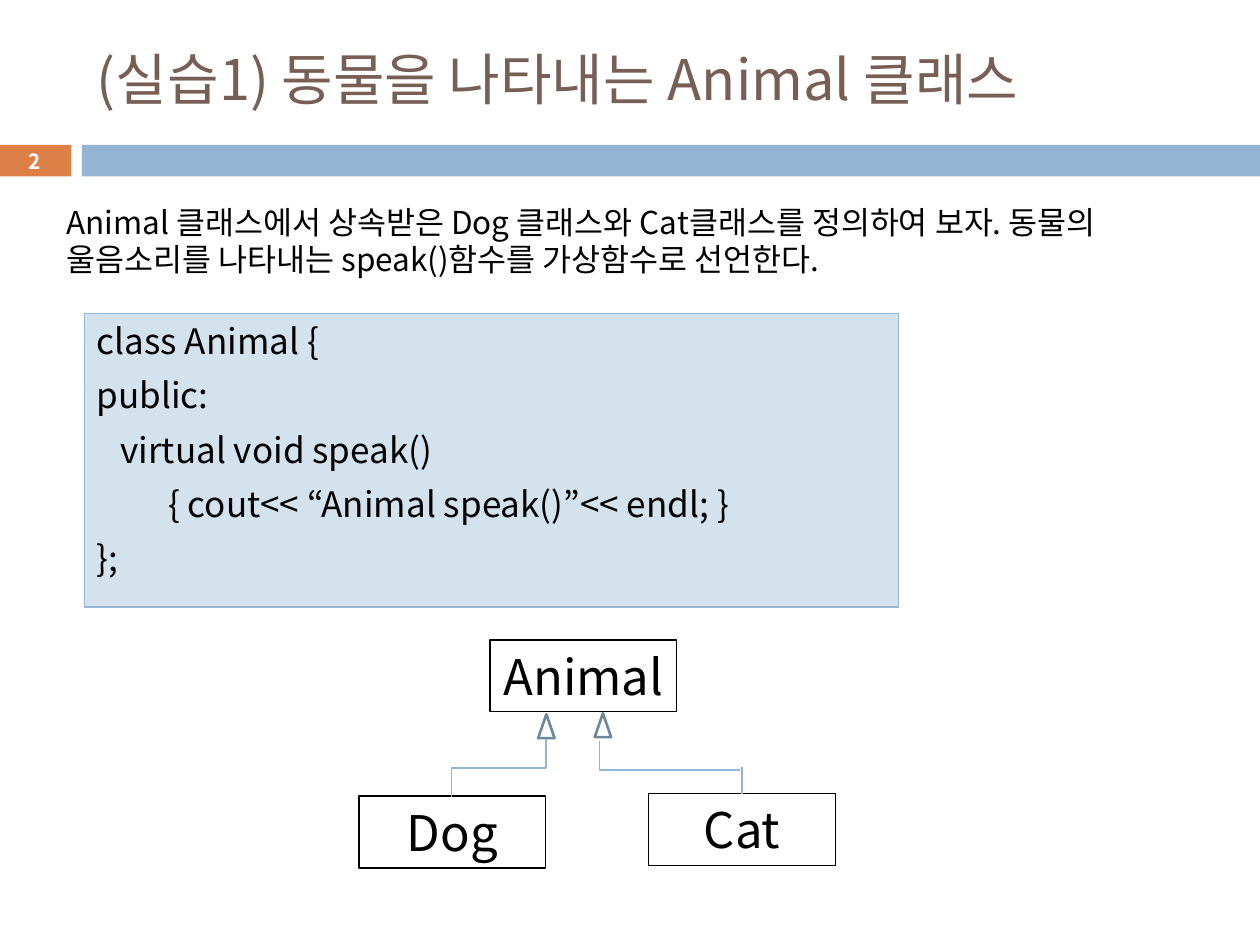
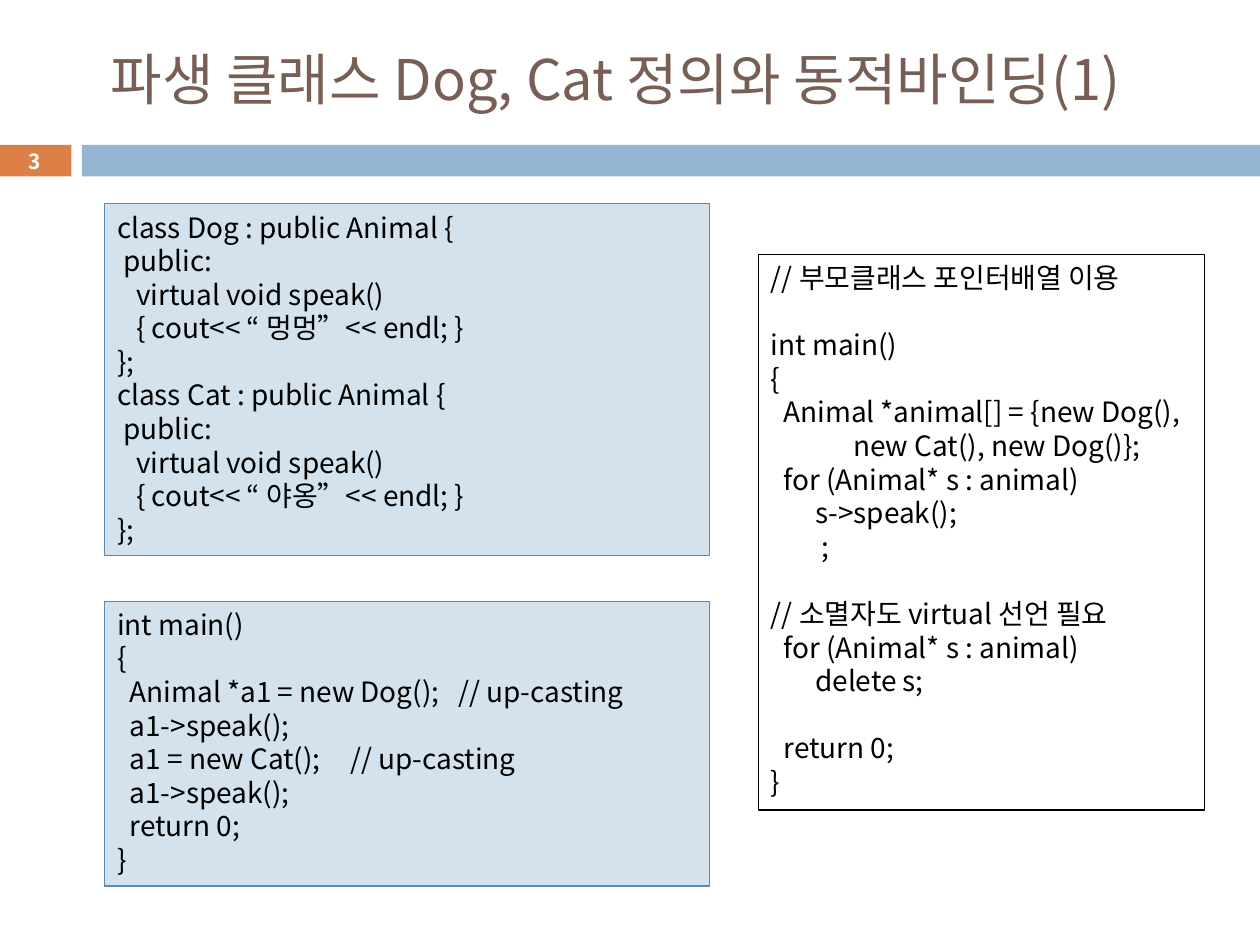
from dataclasses import dataclass

from lxml.etree import SubElement
from pptx import Presentation
from pptx.enum.shapes import MSO_CONNECTOR as Connector, MSO_SHAPE as Preset
from pptx.enum.text import MSO_ANCHOR as Anchor, MSO_AUTO_SIZE as AutoSize, PP_ALIGN as Align
from pptx.dml.color import RGBColor
from pptx.oxml.ns import qn
from pptx.util import Cm, Pt

FONT = "Noto Sans CJK KR"
BLACK, WHITE, BROWN = "000000", "FFFFFF", "775F55"
ORANGE, BLUE, PALE_BLUE = "DD8047", "94B6D2", "D4E2ED"
CODE_BORDER, ARROW_BORDER = "558BB8", "6D879B"
LINE_HEIGHT = 1.2
SPACE_WIDTH = 0.008


@dataclass(frozen=True)
class Box:
    """Position and size in centimetres."""
    left: float
    top: float
    width: float
    height: float

    def lengths(self) -> tuple:
        """Return the four values as lengths."""
        return Cm(self.left), Cm(self.top), Cm(self.width), Cm(self.height)


@dataclass(frozen=True)
class Line:
    """One line of text with its indent in columns."""
    text: str
    indent: int = 0
    gap_above: bool = False
    tab_stops: tuple[float, ...] = ()


@dataclass(frozen=True)
class Panel:
    """A rectangle with lines of text."""
    box: Box
    lines: tuple[Line, ...]
    size: float
    fill: str | None = None
    border: str | None = BLACK
    space_before: float = 0
    align: Align = Align.LEFT
    wrap: bool = True


@dataclass(frozen=True)
class Elbow:
    """A bent connector, given by its unrotated frame."""
    box: Box
    preset: str
    rotation: int
    flipped: bool = False


def colour(value: str) -> RGBColor:
    """Turn a hex string into a colour."""
    return RGBColor.from_string(value)


def format_runs(paragraph, size: float, hex_colour: str, bold: bool = False) -> None:
    """Apply the deck font to every run of a paragraph."""
    for run in paragraph.runs:
        font = run.font
        font.name, font.size, font.bold = FONT, Pt(size), bold
        font.color.rgb = colour(hex_colour)
        SubElement(font._element, qn("a:ea")).set("typeface", FONT)


def add_preset(slide, preset, box: Box, fill: str | None, border: str | None = None,
               width: float = 0.75):
    """Add a flat preset shape."""
    shape = slide.shapes.add_shape(preset, *box.lengths())
    shape.shadow.inherit = False
    if fill:
        shape.fill.solid()
        shape.fill.fore_color.rgb = colour(fill)
    else:
        shape.fill.background()
    if border:
        shape.line.color.rgb = colour(border)
        shape.line.width = Pt(width)
    else:
        shape.line.fill.background()
    return shape


def add_panel(slide, panel: Panel) -> None:
    """Add a rectangle and fill it with lines."""
    shape = add_preset(slide, Preset.RECTANGLE, panel.box, panel.fill, panel.border)
    frame = shape.text_frame
    frame.word_wrap = panel.wrap
    frame.vertical_anchor = Anchor.TOP
    frame.text = "\n".join(line.text for line in panel.lines)
    pitch = panel.size * LINE_HEIGHT
    for paragraph, line in zip(frame.paragraphs, panel.lines):
        paragraph.alignment = panel.align
        paragraph.line_spacing = Pt(pitch)
        paragraph.space_before = Pt(panel.space_before + pitch * line.gap_above)
        format_runs(paragraph, panel.size, BLACK)
        properties = paragraph._p.get_or_add_pPr()
        properties.set("marL", str(Cm(line.indent * SPACE_WIDTH * panel.size)))
        if line.tab_stops:
            tabs = SubElement(properties, qn("a:tabLst"))
            for stop in line.tab_stops:
                tab = SubElement(tabs, qn("a:tab"))
                tab.set("pos", str(Cm(stop)))
                tab.set("algn", "l")


def style_connector(connector) -> None:
    """Give a connector the thin blue line without shadow."""
    connector.line.color.rgb = colour(BLUE)
    connector.line.width = Pt(0.79)
    SubElement(connector._element.spPr, qn("a:effectLst"))


def add_elbow(slide, elbow: Elbow) -> None:
    """Add a rotated bent connector."""
    left, top, width, height = elbow.box.lengths()
    start, end = (left + width, left) if elbow.flipped else (left, left + width)
    connector = slide.shapes.add_connector(Connector.ELBOW, start, top, end, top + height)
    properties = connector._element.spPr
    properties.find(qn("a:xfrm")).set("rot", str(elbow.rotation * 60000))
    properties.find(qn("a:prstGeom")).set("prst", elbow.preset)
    style_connector(connector)


def add_titled_slide(presentation, title: str, number: int, indent: float = 0):
    """Add a slide with the shared title, number tab and band."""
    slide = presentation.slides.add_slide(presentation.slide_layouts[5])
    shape = slide.shapes.title
    shape.left, shape.top, shape.width, shape.height = Box(1.7, 0.64, 23.19, 1.88).lengths()
    frame = shape.text_frame
    frame.text = title
    frame.auto_size = AutoSize.NONE
    frame.vertical_anchor = Anchor.MIDDLE
    paragraph = frame.paragraphs[0]
    paragraph.alignment = Align.LEFT
    paragraph._p.get_or_add_pPr().set("marL", str(Cm(indent)))
    format_runs(paragraph, 32, BROWN)

    add_preset(slide, Preset.RECTANGLE, Box(1.65, 2.92, 23.75, 0.64), BLUE)
    tab = add_preset(slide, Preset.RECTANGLE, Box(-0.03, 2.92, 1.47, 0.64), ORANGE)
    frame = tab.text_frame
    frame.margin_top = frame.margin_bottom = 0
    frame.vertical_anchor = Anchor.MIDDLE
    frame.text = str(number)
    frame.paragraphs[0].alignment = Align.CENTER
    format_runs(frame.paragraphs[0], 11.9, WHITE, bold=True)
    return slide


def derived_class(name: str, sound: str) -> tuple[Line, ...]:
    """Return the code of a class derived from Animal."""
    return (
        Line(f"class {name} : public Animal {{"),
        Line("public:", 1),
        Line("virtual void speak()", 3),
        Line(f"{{ cout<< “ {sound}”<< endl; }}", 3),
        Line("};"),
    )


def build_animal_slide(presentation) -> None:
    """Build the slide with the base class and the class diagram."""
    slide = add_titled_slide(presentation, "(실습1) 동물을 나타내는 Animal 클래스", 2)
    add_panel(slide, Panel(Box(1.09, 3.96, 23.37, 1.8), (
        Line("Animal 클래스에서 상속받은 Dog 클래스와 Cat클래스를 정의하여 보자. "
             "동물의 울음소리를 나타내는 speak()함수를 가상함수로 선언한다."),
    ), 18, border=None))
    add_panel(slide, Panel(Box(1.7, 6.32, 16.41, 5.92), (
        Line("class Animal {"),
        Line("public:"),
        Line("virtual void speak()", 3),
        Line("{ cout<< “Animal speak()”<< endl; }", 9),
        Line("};"),
    ), 20, PALE_BLUE, BLUE, space_before=7))

    for name, left, top in (("Animal", 9.88, 12.9), ("Dog", 7.24, 16.05), ("Cat", 13.08, 16)):
        add_panel(slide, Panel(Box(left, top, 3.76, 1.45), (Line(name),), 28,
                               align=Align.CENTER, wrap=False))
    for left, top in ((10.85, 14.4), (11.99, 14.38)):
        add_preset(slide, Preset.ISOSCELES_TRIANGLE, Box(left, top, 0.33, 0.48),
                   WHITE, ARROW_BORDER, 1.5)
    add_elbow(slide, Elbow(Box(9.47, 14.53, 1.17, 1.91), "bentConnector3", 90))
    add_elbow(slide, Elbow(Box(13.21, 13.82, 0.58, 2.82), "bentConnector2", 270, True))
    style_connector(slide.shapes.add_connector(
        Connector.STRAIGHT, Cm(14.96), Cm(15.47), Cm(14.96), Cm(16)))


def build_binding_slide(presentation) -> None:
    """Build the slide with the derived classes and dynamic binding."""
    slide = add_titled_slide(presentation, "파생 클래스 Dog, Cat 정의와 동적바인딩(1)", 3, 0.28)
    add_panel(slide, Panel(Box(2.11, 4.11, 12.19, 7.09),
                           derived_class("Dog", "멍멍") + derived_class("Cat", "야옹"),
                           16, PALE_BLUE, CODE_BORDER))
    add_panel(slide, Panel(Box(2.11, 12.12, 12.19, 5.74), (
        Line("int main()"),
        Line("{"),
        Line("\tAnimal *a1 = new Dog();\t// up-casting", tab_stops=(0.26, 6.88)),
        Line("a1->speak();", 2),
        Line("\ta1 = new Cat();\t// up-casting", tab_stops=(0.26, 4.7)),
        Line("a1->speak();", 2),
        Line("return 0;", 2),
        Line("}"),
    ), 16, PALE_BLUE, CODE_BORDER))
    loop = "for (Animal* s : animal)"
    add_panel(slide, Panel(Box(15.29, 5.13, 8.99, 11.2), (
        Line("// 부모클래스 포인터배열 이용"),
        Line("int main()", gap_above=True),
        Line("{"),
        Line("Animal *animal[] = {new Dog(),", 2),
        Line("new Cat(), new Dog()};", 13),
        Line(loop, 2),
        Line("s->speak();", 7),
        Line(";", 8),
        Line("// 소멸자도 virtual 선언 필요", gap_above=True),
        Line(loop, 2),
        Line("delete s;", 7),
        Line("return 0;", 2, gap_above=True),
        Line("}"),
    ), 16))


def main() -> None:
    """Build and save the presentation."""
    presentation = Presentation()
    presentation.slide_width, presentation.slide_height = Cm(25.4), Cm(19.05)
    build_animal_slide(presentation)
    build_binding_slide(presentation)
    presentation.save("out.pptx")


main()
